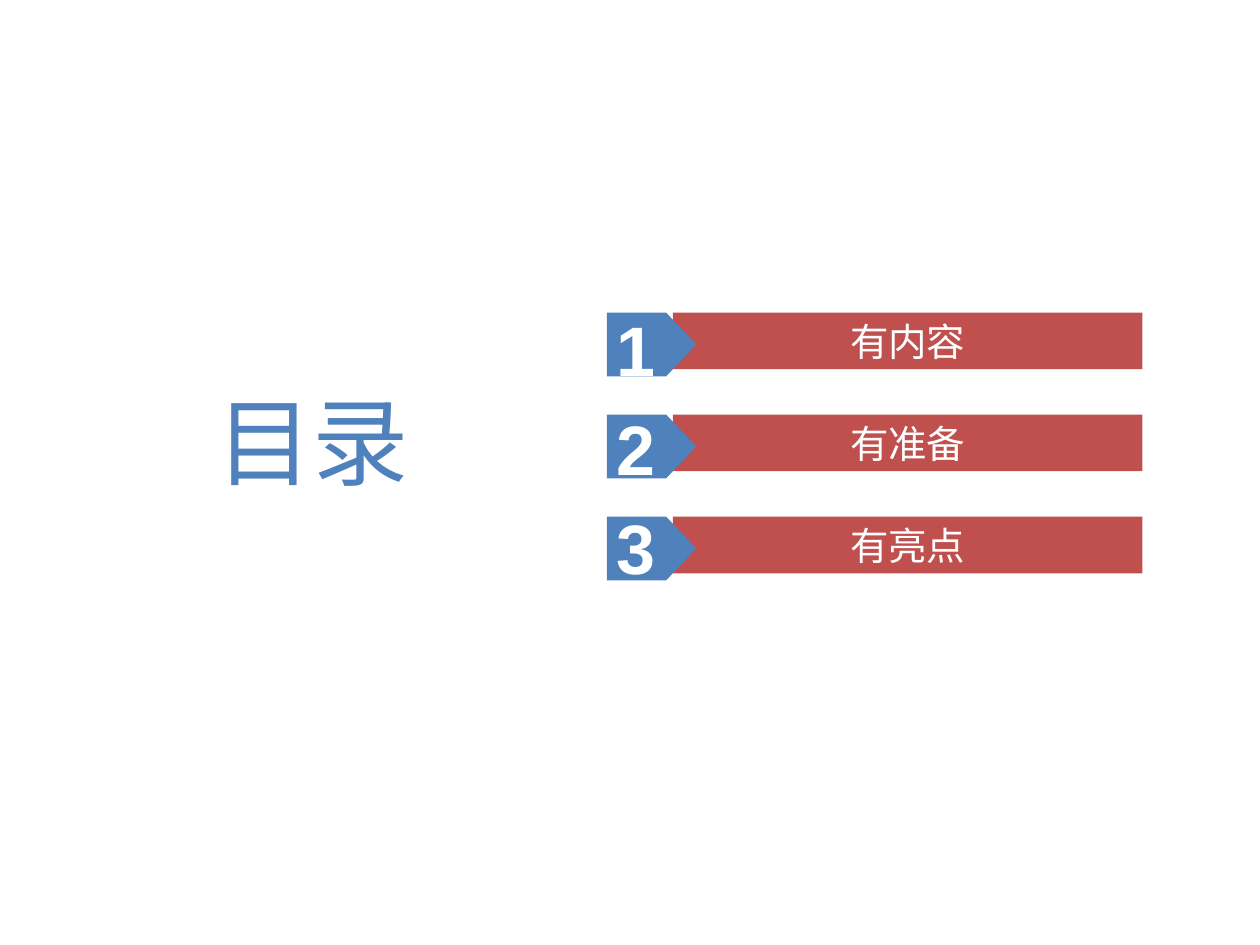
from lxml import etree
from pptx import Presentation
from pptx import util as u
from pptx.dml import color as c
from pptx.enum import shapes, text
from pptx.oxml import ns

Pt = u.Pt
HUES = {"blue": "4F81BD", "red": "C0504D", "white": "FFFFFF"}
CJK = "Noto Sans CJK SC"
FRAME = {
    "margin_left": Pt(5.76), "margin_right": Pt(5.76),
    "margin_top": Pt(2.88), "margin_bottom": Pt(2.88),
    "auto_size": text.MSO_AUTO_SIZE.SHAPE_TO_FIT_TEXT,
}


def write(item, words, hue, wrap, align, style):
    frame = item.text_frame
    for key, val in {**FRAME, "word_wrap": wrap}.items():
        setattr(frame, key, val)
    para = frame.paragraphs[0]
    para.alignment = align
    run = para.add_run()
    run.text = words
    for key, val in style.items():
        setattr(run.font, key, val)
    run.font.color.rgb = c.RGBColor.from_string(HUES[hue])
    # East Asian typeface
    face = etree.SubElement(run._r.get_or_add_rPr(), ns.qn("a:ea"))
    face.set("typeface", CJK)


def block(kind, box, hue):
    item = slide.shapes.add_shape(kind, *map(Pt, box))
    item.shadow.inherit = False
    item.fill.solid()
    item.fill.fore_color.rgb = c.RGBColor.from_string(HUES[hue])
    item.line.fill.background()
    return item


deck = Presentation()
deck.slide_width, deck.slide_height = Pt(720), Pt(540)
slide = deck.slides.add_slide(deck.slide_layouts[6])
left, mid = text.PP_ALIGN.LEFT, text.PP_ALIGN.CENTER

# Heading
head = slide.shapes.add_textbox(Pt(118), Pt(215.3), Pt(122.4), Pt(72.7))
write(head, "目录", "blue", False, left, {"size": Pt(55), "name": "Arial"})

# Topic bars
top, step = 178.6, 58.3
topics = ["有内容", "有准备", "有亮点"]
for row, topic in enumerate(topics):
    bar = block(shapes.MSO_SHAPE.RECTANGLE,
                (384.5, top + row * step, 268.3, 32.4), "red")
    write(bar, topic, "white", True, mid, {"size": Pt(22), "name": CJK})

# Number tags
for row in range(len(topics)):
    tag = block(shapes.MSO_SHAPE.PENTAGON,
                (346.8, top + row * step, 51, 36.5), "blue")
    tag.adjustments[0] = 0.47

# Numbers, set a little closer than the tags
for row in range(len(topics)):
    num = slide.shapes.add_textbox(
        Pt(346.8), Pt(172.1 + row * 56.6), Pt(33.8), Pt(54))
    write(num, str(row + 1), "white", False, left,
          {"size": Pt(40), "name": "Arial", "bold": True})

deck.save("out.pptx")
